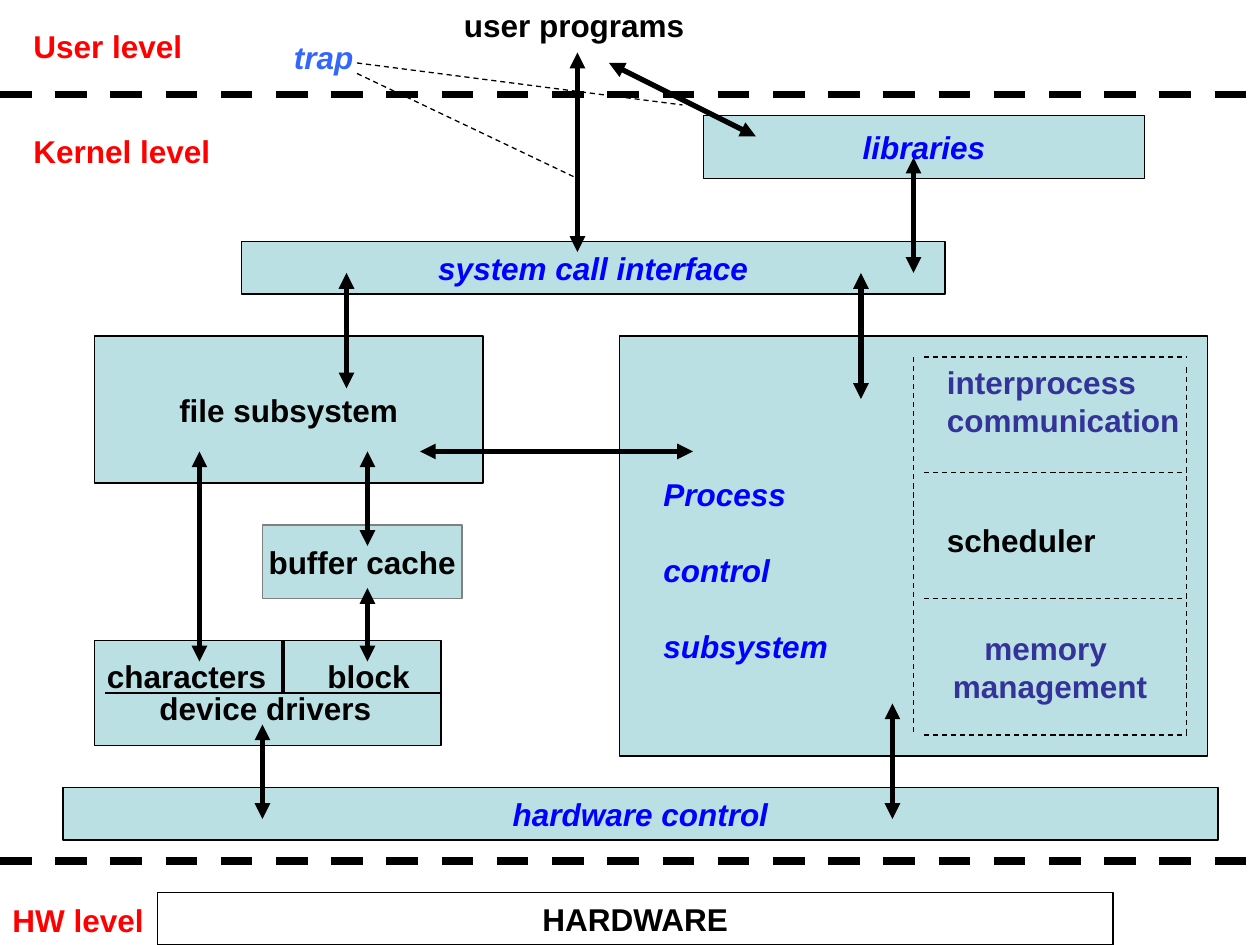
"""Build the layered operating system kernel diagram on a 120 by 90 grid."""
import pptx
import pptx.util
import pptx.dml.color
import pptx.enum.dml
import pptx.enum.shapes
import pptx.enum.text
import pptx.oxml.ns
import lxml.etree

CELL = 25.4 / 120
BLACK, GREY, WHITE, TEAL = "000000", "808080", "FFFFFF", "BBE0E3"
BLUE, INDIGO, RED, SKY = "0000FF", "333399", "FF0000", "3366FF"

BLOCKS = [
    (["HARDWARE"], (15, 85, 91, 5), WHITE, BLACK, BLACK, False),
    (["hardware control"], (6, 75, 110, 5), TEAL, BLACK, BLUE, True),
    ([], (9, 61, 33, 10), TEAL, BLACK, BLACK, False),
    (["buffer cache"], (25, 50, 19, 7), TEAL, GREY, BLACK, False),
    (["file subsystem"], (9, 32, 37, 14), TEAL, BLACK, BLACK, False),
    ([], (59, 32, 56, 40), TEAL, BLACK, BLACK, False),
    (["system call interface"], (23, 23, 67, 5), TEAL, BLACK, BLUE, True),
    (["libraries"], (67, 11, 42, 6), TEAL, BLACK, BLUE, True),
    (["memory ", "management"], (88, 58, 24, 11), TEAL, None, INDIGO, False),
]
LABELS = [
    (["device drivers"], (14, 65, 24, 4.8), BLACK, False, 0),
    (["characters"], (9, 62, 18.5, 4.8), BLACK, False, 0),
    (["block"], (30, 62, 11, 4.8), BLACK, False, 0),
    (["Process", "control", "subsystem"], (62, 44.7, 19, 19.2), BLUE, True, 21.6),
    (["interprocess", "communication"], (89, 34, 25.5, 8.4), INDIGO, False, 0),
    (["scheduler"], (89, 49, 17.5, 4.8), BLACK, False, 0),
    (["user programs"], (43, 0, 24.5, 4.8), BLACK, False, 0),
    (["User level"], (2, 2, 17.5, 4.8), RED, False, 0),
    (["Kernel level"], (2, 12, 20.5, 4.8), RED, False, 0),
    (["HW level"], (0, 85.2, 15.5, 4.8), RED, False, 0),
    (["trap"], (26.8, 3, 9, 4.8), SKY, True, 0),
]
ARROWS = [
    (25, 69, 25, 78), (35, 56, 35, 63), (19, 43, 19, 63), (35, 43, 35, 52),
    (85, 67, 85, 78), (40, 43, 66, 43), (82, 26, 82, 38), (33, 26, 33, 37),
    (87, 15, 87, 26), (58, 6, 72, 13), (55, 5, 55, 24),
]
PANEL_SIDES = [(87, 34, 87, 70), (113, 35, 113, 70)]
PANEL_ROWS = [(88, y, 113, y) for y in (34, 45, 57, 70)]
TRAP_LEADERS = [(34, 7, 55, 17), (34, 6, 65, 10)]
LEVEL_BORDERS = [(0, y, 120, y) for y in (9, 82)]
LINE_GROUPS = [
    ([(10, 66, 42, 66)], 0.75, False, False),
    ([(27, 66, 27, 61)], 2.25, False, False),
    (PANEL_SIDES + PANEL_ROWS + TRAP_LEADERS, 0.75, True, False),
    (LEVEL_BORDERS, 4.5, True, False),
    (ARROWS, 3, False, True),
]


def color(value):
    return pptx.dml.color.RGBColor.from_string(value)


def grid(values):
    return [pptx.util.Cm(value * CELL) for value in values]


def write(box, lines, ink, italic, gap, align, anchor):
    frame = box.text_frame
    frame.word_wrap = False
    frame.vertical_anchor = anchor
    font_format = {"name": "Arial", "size": pptx.util.Pt(18), "bold": True, "italic": italic}
    for index, line in enumerate(lines):
        para = frame.add_paragraph() if index else frame.paragraphs[0]
        para.alignment = align
        if index:
            para.space_before = pptx.util.Pt(gap)
        span = para.add_run()
        span.text = line
        for name, value in font_format.items():
            setattr(span.font, name, value)
        span.font.color.rgb = color(ink)


def add_block(page, lines, place, fill, edge, ink, italic):
    box = page.shapes.add_shape(pptx.enum.shapes.MSO_SHAPE.RECTANGLE, *grid(place))
    box.shadow.inherit = False
    box.fill.solid()
    box.fill.fore_color.rgb = color(fill)
    if edge:
        box.line.color.rgb = color(edge)
        box.line.width = pptx.util.Pt(0.75)
    else:
        box.line.fill.background()
    write(box, lines, ink, italic, 0, pptx.enum.text.PP_ALIGN.CENTER,
          pptx.enum.text.MSO_ANCHOR.MIDDLE)


def add_label(page, lines, place, ink, italic, gap):
    box = page.shapes.add_textbox(*grid(place))
    write(box, lines, ink, italic, gap, pptx.enum.text.PP_ALIGN.LEFT,
          pptx.enum.text.MSO_ANCHOR.TOP)


def add_line(page, ends, width, dashed, arrows):
    line = page.shapes.add_connector(pptx.enum.shapes.MSO_CONNECTOR.STRAIGHT, *grid(ends))
    line.line.color.rgb = color(BLACK)
    line.line.width = pptx.util.Pt(width)
    if dashed:
        line.line.dash_style = pptx.enum.dml.MSO_LINE.DASH
    qn = pptx.oxml.ns.qn
    properties = line._element.spPr
    if arrows:
        stroke = properties.find(qn("a:ln"))
        for tag in ("a:headEnd", "a:tailEnd"):
            lxml.etree.SubElement(stroke, qn(tag), type="triangle")
    lxml.etree.SubElement(properties, qn("a:effectLst"))


def main():
    deck = pptx.Presentation()
    deck.slide_width, deck.slide_height = grid((120, 90))
    page = deck.slides.add_slide(deck.slide_layouts[6])
    for block in BLOCKS:
        add_block(page, *block)
    for label in LABELS:
        add_label(page, *label)
    for lines, width, dashed, arrows in LINE_GROUPS:
        for ends in lines:
            add_line(page, ends, width, dashed, arrows)
    deck.save("out.pptx")


if __name__ == "__main__":
    main()
